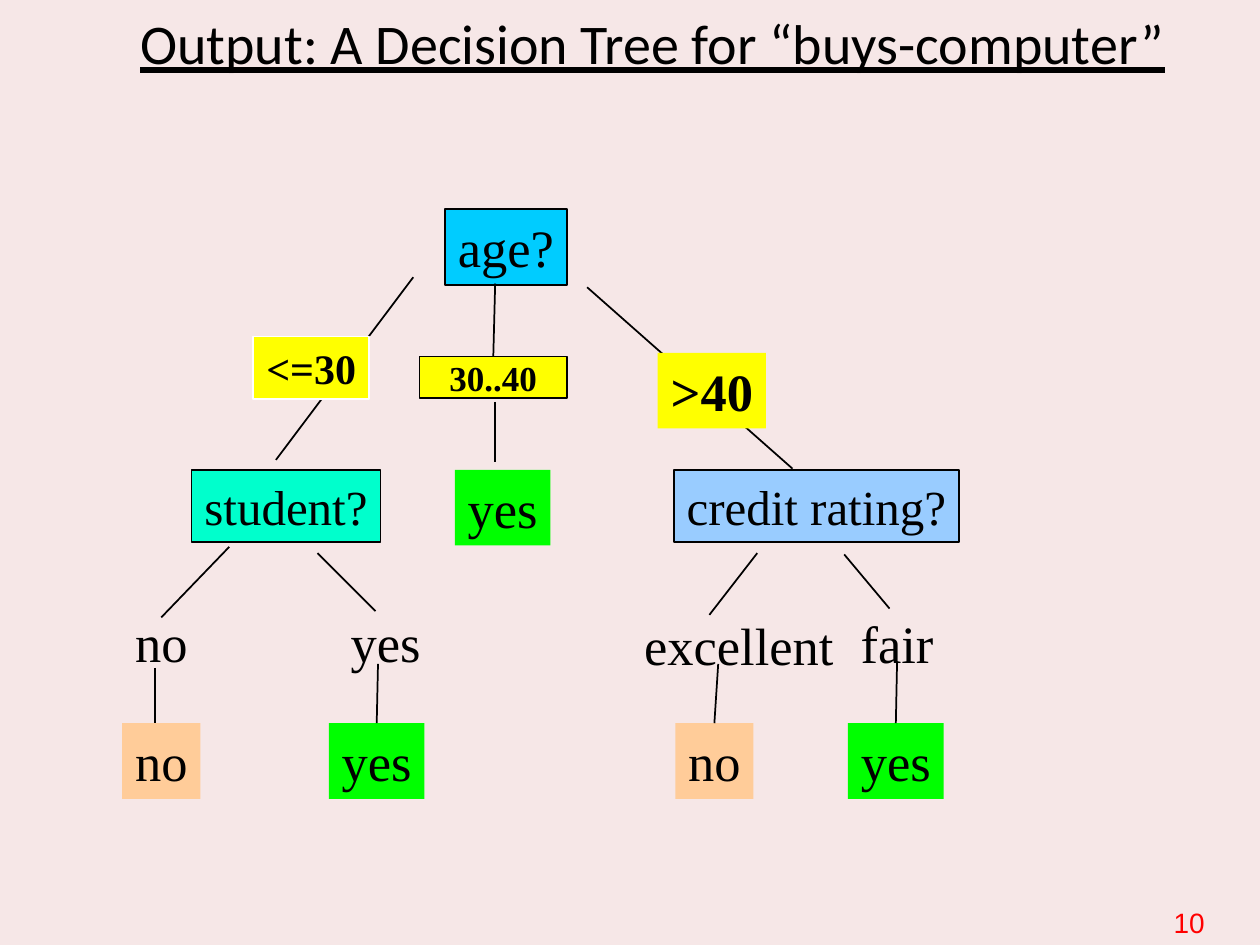
from dataclasses import dataclass
from typing import Optional

from lxml import etree
from pptx import Presentation
from pptx.dml.color import RGBColor
from pptx.enum.shapes import MSO_CONNECTOR, MSO_SHAPE
from pptx.enum.text import MSO_ANCHOR, MSO_AUTO_SIZE, PP_ALIGN
from pptx.oxml.ns import qn
from pptx.util import Inches, Pt

STRAIGHT = MSO_CONNECTOR.STRAIGHT
RECT = MSO_SHAPE.RECTANGLE
TOP, MIDDLE = MSO_ANCHOR.TOP, MSO_ANCHOR.MIDDLE
GROW, FIXED = MSO_AUTO_SIZE.SHAPE_TO_FIT_TEXT, MSO_AUTO_SIZE.NONE
CENTER, RIGHT = PP_ALIGN.CENTER, PP_ALIGN.RIGHT

BACKGROUND = RGBColor(0xF6, 0xE7, 0xE7)
BLACK = RGBColor(0x00, 0x00, 0x00)
WHITE = RGBColor(0xFF, 0xFF, 0xFF)
RED = RGBColor(0xFF, 0x00, 0x00)
BLUE = RGBColor(0x00, 0xCC, 0xFF)
TEAL = RGBColor(0x00, 0xFF, 0xCC)
PALE_BLUE = RGBColor(0x99, 0xCC, 0xFF)
YELLOW = RGBColor(0xFF, 0xFF, 0x00)
ORANGE = RGBColor(0xFF, 0xCC, 0x99)
GREEN = RGBColor(0x00, 0xFF, 0x00)

LEAF_TOP = 5.74
NO_WIDTH, YES_WIDTH = 0.62, 0.76


@dataclass(frozen=True)
class Node:
    text: str
    left: float
    top: float
    width: float
    height: float = 0.6
    size: int = 30
    fill: Optional[RGBColor] = None
    line: Optional[RGBColor] = None
    bold: bool = False
    anchor: MSO_ANCHOR = TOP
    auto_size: MSO_AUTO_SIZE = GROW


@dataclass(frozen=True)
class Branch:
    x1: float
    y1: float
    x2: float
    y2: float
    child: Optional[Node] = None


AGE = Node("age?", 3.53, 1.66, 0.97, fill=BLUE, line=BLACK)
STUDENT = Node("student?", 1.52, 3.73, 1.5, 0.57, 28, TEAL, BLACK)
CREDIT = Node("credit rating?", 5.35, 3.73, 2.26, 0.57, 28, PALE_BLUE, BLACK)
MIDDLE_AGE = Node("30..40", 3.33, 2.83, 1.17, 0.33, 20, YELLOW, BLACK, True, MIDDLE, FIXED)
STUDENT_NO = Node("no", 0.97, LEAF_TOP, NO_WIDTH, fill=ORANGE)
STUDENT_YES = Node("yes", 2.61, LEAF_TOP, YES_WIDTH, fill=GREEN)
EXCELLENT_NO = Node("no", 5.36, LEAF_TOP, NO_WIDTH, fill=ORANGE)
FAIR_YES = Node("yes", 6.73, LEAF_TOP, YES_WIDTH, fill=GREEN)

NODES = [
    AGE, STUDENT, CREDIT,
    Node("no", 0.97, 4.79, NO_WIDTH),
    Node("yes", 2.68, 4.79, YES_WIDTH),
    Node("fair", 6.73, 4.8, 0.78),
    Node("excellent", 5.01, 4.82, 1.71),
    Node("<=30", 2.01, 2.67, 0.92, 0.5, 24, YELLOW, WHITE, True),
    Node(">40", 5.22, 2.8, 0.86, fill=YELLOW, bold=True),
    STUDENT_NO, EXCELLENT_NO, STUDENT_YES, FAIR_YES,
    Node("yes", 3.61, 3.73, YES_WIDTH, fill=GREEN),
    MIDDLE_AGE,
]

AGE_BRANCHES = [
    Branch(3.28, 2.2, 2.19, 3.65),
    Branch(4.66, 2.28, 6.29, 3.72),
]

BRANCHES = [
    Branch(3.93, 2.25, 3.93, 2.83, MIDDLE_AGE),
    Branch(3.93, 3.19, 3.93, 3.67),
    Branch(1.82, 4.34, 1.28, 4.9),
    Branch(2.52, 4.39, 2.98, 4.85),
    Branch(6.01, 4.39, 5.63, 4.88),
    Branch(6.7, 4.4, 7.06, 4.83),
    Branch(1.23, 5.3, 1.23, LEAF_TOP),
    Branch(3, 5.27, 3, LEAF_TOP, STUDENT_YES),
    Branch(5.7, 5.27, 5.7, LEAF_TOP, EXCELLENT_NO),
    Branch(7.12, 5.25, 7.12, LEAF_TOP, FAIR_YES),
]


def write(sp, text: str, size: int, font: str, color: RGBColor = BLACK,
          align: PP_ALIGN = CENTER, anchor: MSO_ANCHOR = MIDDLE, wrap: bool = True):
    tf = sp.text_frame
    tf.text = text
    tf.word_wrap = wrap
    tf.vertical_anchor = anchor
    p = tf.paragraphs[0]
    p.alignment = align
    r = p.runs[0]
    r.font.size = Pt(size)
    r.font.name = font
    r.font.color.rgb = color
    return p


def add_node(s, node: Node):
    box = [Inches(v) for v in (node.left, node.top, node.width, node.height)]
    if node.fill is None:
        sp = s.shapes.add_textbox(*box)
    else:
        sp = s.shapes.add_shape(RECT, *box)
        sp.shadow.inherit = False
        sp.fill.solid()
        sp.fill.fore_color.rgb = node.fill
        if node.line is None:
            sp.line.fill.background()
        else:
            sp.line.color.rgb = node.line
            sp.line.width = Pt(1)
    p = write(sp, node.text, node.size, "Times New Roman", anchor=node.anchor, wrap=False)
    p.space_before = Pt(node.size / 4)
    p.runs[0].font.bold = node.bold
    sp.text_frame.auto_size = node.auto_size
    return sp


def add_branch(s, branch: Branch, shapes: dict) -> None:
    ends = [Inches(v) for v in (branch.x1, branch.y1, branch.x2, branch.y2)]
    cxn = s.shapes.add_connector(STRAIGHT, *ends)
    cxn.line.color.rgb = BLACK
    cxn.line.width = Pt(1)
    etree.SubElement(cxn._element.spPr, qn("a:effectLst"))
    if branch.child is not None:
        cxn.end_connect(shapes[branch.child], 0)


def main() -> None:
    prs = Presentation()
    prs.slide_width, prs.slide_height = Inches(10), Inches(7.5)
    s = prs.slides.add_slide(prs.slide_layouts[6])
    s.background.fill.solid()
    s.background.fill.fore_color.rgb = BACKGROUND

    number = s.shapes.add_textbox(Inches(7.33), Inches(7.12), Inches(2.33), Inches(0.4))
    write(number, "10", 16, "Arial", RED, RIGHT).space_before = Pt(4)

    title = s.shapes.add_textbox(Inches(0.92), Inches(0), Inches(8.52), Inches(0.67))
    p = write(title, "Output: A Decision Tree for “buys-computer”", 32, "Calibri")
    p.runs[0].font.underline = True

    shapes = {}
    for branch in AGE_BRANCHES:
        add_branch(s, branch, shapes)
    for node in NODES:
        shapes[node] = add_node(s, node)
    for branch in BRANCHES:
        add_branch(s, branch, shapes)

    prs.save("out.pptx")


if __name__ == "__main__":
    main()
